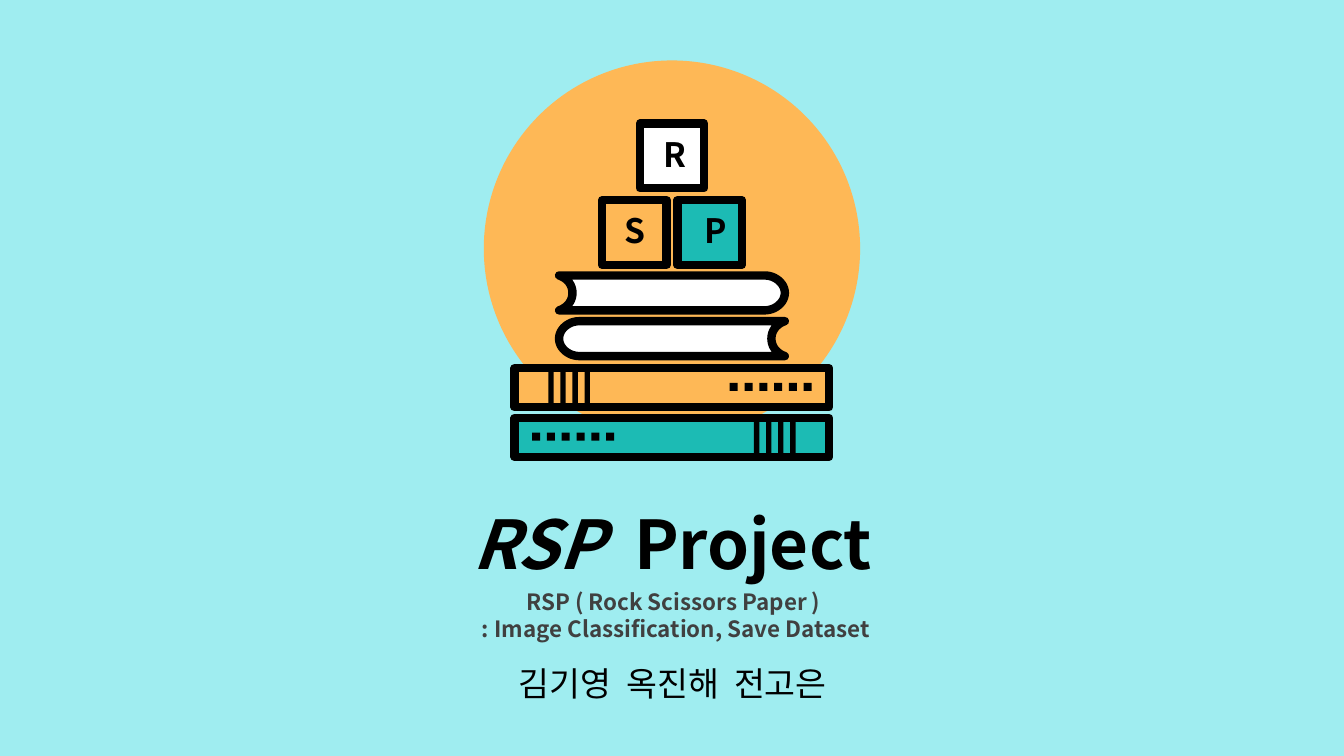
from lxml.etree import SubElement
from pptx import Presentation
from pptx.dml.color import RGBColor
from pptx.enum.shapes import MSO_SHAPE
from pptx.enum.text import MSO_ANCHOR, PP_ALIGN
from pptx.oxml.ns import qn
from pptx.util import Inches, Pt

COLORS = {
    "sky": "9FEDF0",
    "orange": "FEB856",
    "teal": "1CBBB4",
    "white": "FFFFFF",
    "black": "000000",
    "gray": "404040",
}
FONT = "Noto Sans CJK KR"
SLIDE_WIDTH = 10
SLIDE_HEIGHT = SLIDE_WIDTH * 9 / 16
OUTLINE_WIDTH = 4.5
CURVE_STEPS = 12
BOOK_CURVES = [
    [(5.69, 2.05), (5.77, 2.05), (5.84, 2.11), (5.84, 2.18)],
    [(5.84, 2.18), (5.84, 2.25), (5.77, 2.31), (5.69, 2.31)],
    [(4.16, 2.31), (4.22, 2.29), (4.26, 2.24), (4.26, 2.18)],
    [(4.26, 2.18), (4.26, 2.12), (4.22, 2.07), (4.16, 2.05)],
]


def color(name):
    return RGBColor.from_string(COLORS[name])


def apply_format(target, values):
    for name, value in values.items():
        setattr(target, name, value)


def style_shape(shape, fill, outlined=False):
    shape.shadow.inherit = False
    shape.fill.solid()
    shape.fill.fore_color.rgb = color(fill)
    if outlined:
        shape.line.color.rgb = color("black")
        shape.line.width = Pt(OUTLINE_WIDTH)
        SubElement(shape.line._get_or_add_ln(), qn("a:round"))
    else:
        shape.line.fill.background()


def add_block(slide, box, fill, outlined=False, kind=MSO_SHAPE.RECTANGLE):
    shape = slide.shapes.add_shape(kind, *map(Inches, box))
    style_shape(shape, fill, outlined)
    return shape


def write_text(shape, lines, size, fill="black", bold=True):
    frame = shape.text_frame
    apply_format(frame, {"word_wrap": True, "vertical_anchor": MSO_ANCHOR.MIDDLE})
    for index, runs in enumerate(lines):
        paragraph = frame.add_paragraph() if index else frame.paragraphs[0]
        paragraph.alignment = PP_ALIGN.CENTER
        for text, italic in runs:
            run = paragraph.add_run()
            run.text = text
            apply_format(run.font, {"name": FONT, "size": Pt(size), "bold": bold, "italic": italic})
            run.font.color.rgb = color(fill)
            SubElement(run.font._element, qn("a:ea"), typeface=FONT)


def add_text(slide, box, lines, size, **options):
    text_box = slide.shapes.add_textbox(*map(Inches, box))
    write_text(text_box, lines, size, **options)
    return text_box


def curve_points(start, first, second, end):
    points = []
    for step in range(CURVE_STEPS + 1):
        t = step / CURVE_STEPS
        weights = ((1 - t) ** 3, 3 * t * (1 - t) ** 2, 3 * t**2 * (1 - t), t**3)
        controls = list(zip(weights, (start, first, second, end)))
        points.append(tuple(sum(w * point[axis] for w, point in controls) for axis in (0, 1)))
    return points


def add_open_book(slide, drop, mirrored):
    points = [point for curve in BOOK_CURVES for point in curve_points(*curve)]
    points = [
        (Inches(SLIDE_WIDTH - x if mirrored else x), Inches(y + drop)) for x, y in points
    ]
    builder = slide.shapes.build_freeform(*points[0])
    builder.add_line_segments(points[1:], close=True)
    style_shape(builder.convert_to_shape(), "white", outlined=True)


def add_closed_book(slide, top, fill, mirrored):
    add_block(slide, (3.83, top, 2.34, 0.29), fill, outlined=True)
    stripes = [(4.08 + 0.09 * i, top, 0.04, 0.29) for i in range(4)]
    dots = [(5.43 + 0.11 * i, top + 0.11, 0.06, 0.06) for i in range(6)]
    for left, mark_top, width, height in stripes + dots:
        if mirrored:
            left = SLIDE_WIDTH - left - width
        add_block(slide, (left, mark_top, width, height), "black")


def add_letter_cube(slide, left, top, fill, letter, letter_box):
    add_block(slide, (left, top, 0.48, 0.48), fill, outlined=True)
    face = add_block(slide, letter_box, fill)
    write_text(face, [[(letter, False)]], 18)


def main():
    presentation = Presentation()
    presentation.slide_width = Inches(SLIDE_WIDTH)
    presentation.slide_height = Inches(SLIDE_HEIGHT)
    slide = presentation.slides.add_slide(presentation.slide_layouts[6])
    slide.background.fill.solid()
    slide.background.fill.fore_color.rgb = color("sky")

    add_block(slide, (3.6, 0.45, 2.8, 2.8), "orange", kind=MSO_SHAPE.OVAL)
    add_closed_book(slide, 2.74, "orange", mirrored=False)
    add_closed_book(slide, 3.11, "teal", mirrored=True)
    add_open_book(slide, 0, mirrored=False)
    add_open_book(slide, 0.34, mirrored=True)
    add_letter_cube(slide, 4.76, 0.92, "white", "R", (4.84, 0.99, 0.31, 0.31))
    add_letter_cube(slide, 5.04, 1.49, "teal", "P", (5.14, 1.56, 0.31, 0.31))
    add_letter_cube(slide, 4.48, 1.49, "orange", "S", (4.53, 1.53, 0.39, 0.37))

    subtitle_lines = [
        [("RSP ( Rock Scissors Paper )", False)],
        [(" : Image Classification, Save Dataset", False)],
    ]
    subtitle = add_text(slide, (0, 4.34, SLIDE_WIDTH, 0.47), subtitle_lines, 12, fill="gray")
    subtitle.text_frame.margin_left = Inches(0.12)
    title_lines = [[("RSP", True), ("  Project", False)]]
    add_text(slide, (0, 3.74, SLIDE_WIDTH, 0.59), title_lines, 36)
    names = add_block(slide, (2.09, 4.94, 5.83, 0.28), "sky")
    write_text(names, [[("김기영  옥진해  전고은", False)]], 18, bold=False)

    presentation.save("out.pptx")


if __name__ == "__main__":
    main()
